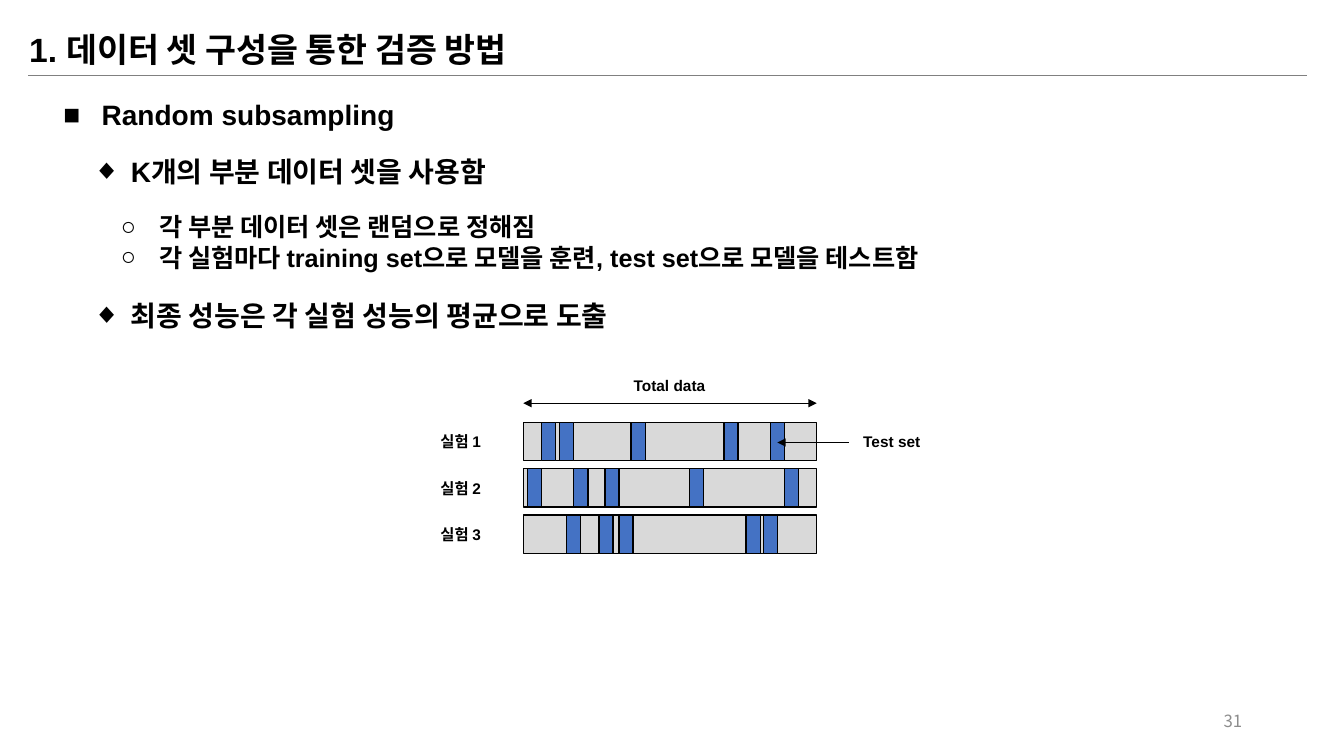
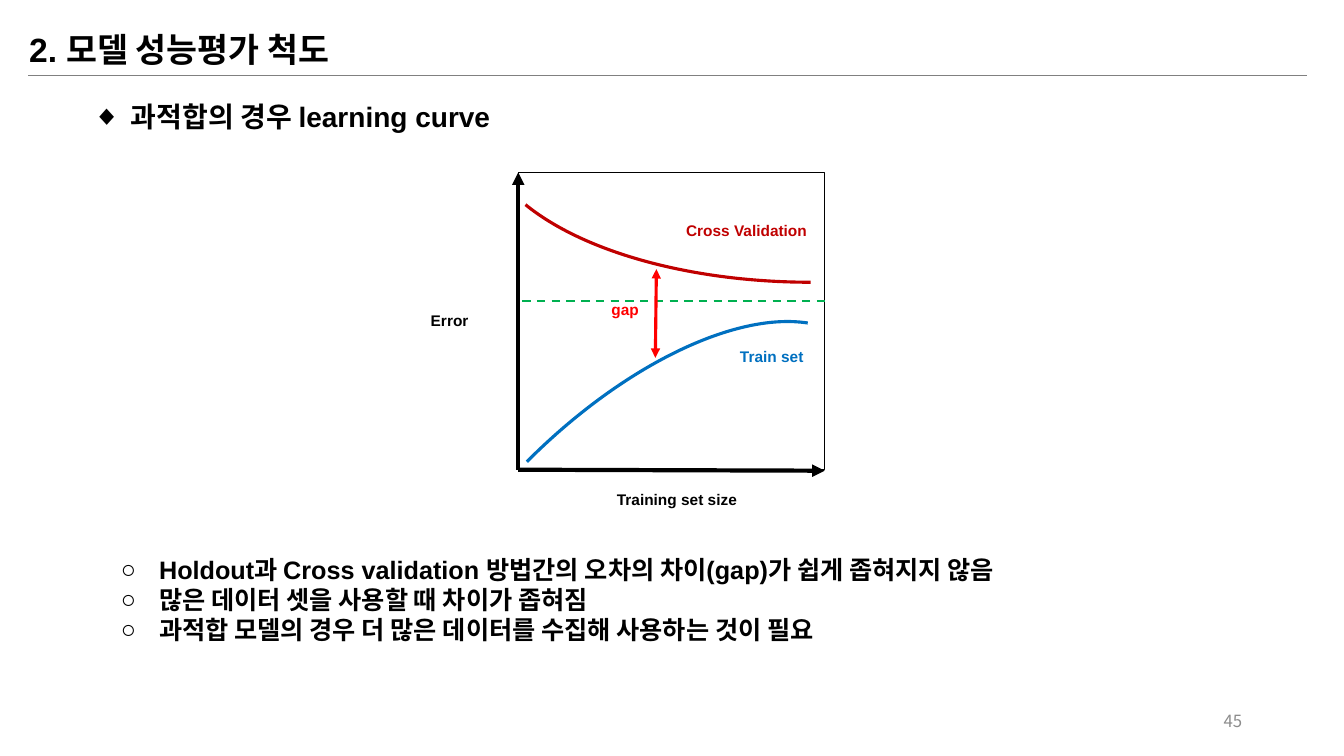
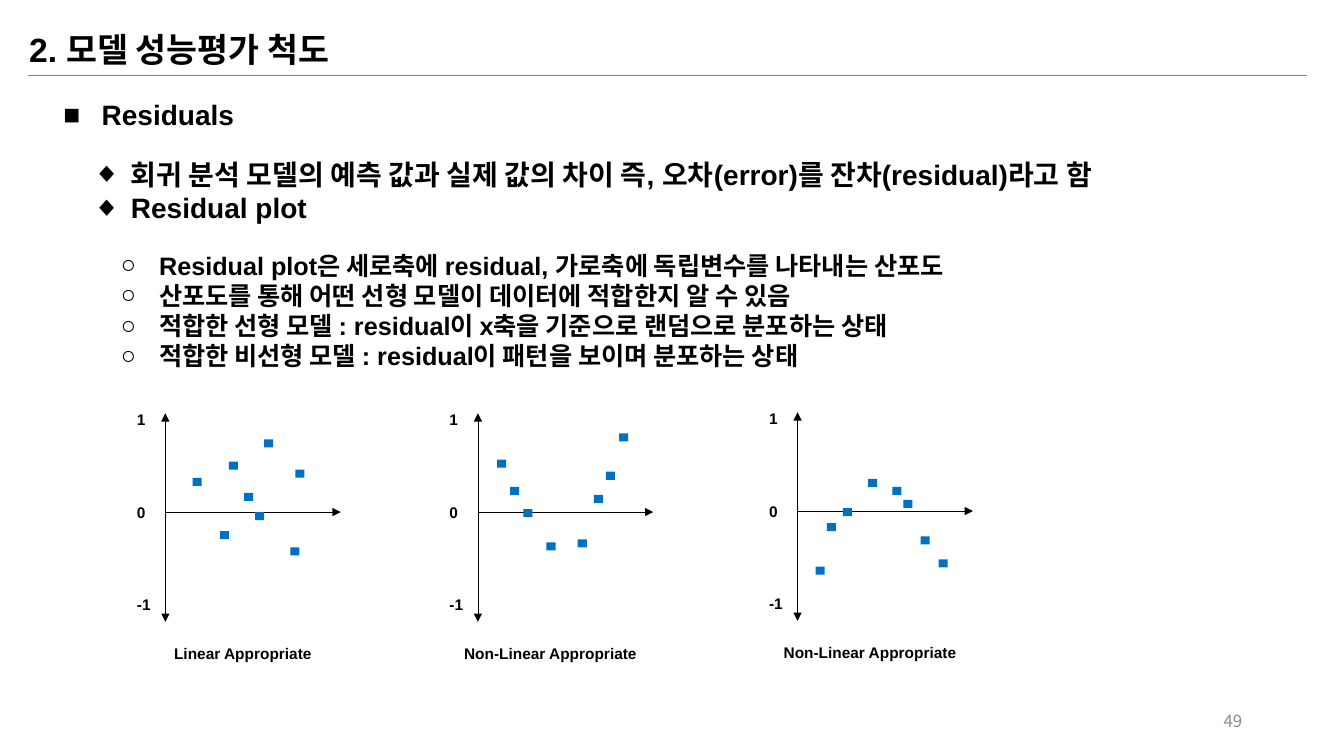
"""Build three lecture slides on model validation and performance measures."""
from lxml.etree import SubElement
from pptx import Presentation
from pptx.dml.color import RGBColor
from pptx.enum.dml import MSO_LINE
from pptx.enum.shapes import MSO_CONNECTOR, MSO_SHAPE
from pptx.enum.text import MSO_ANCHOR, MSO_AUTO_SIZE, PP_ALIGN
from pptx.oxml.ns import qn
from pptx.util import Inches, Pt

LATIN, KOREAN = "Arial", "Noto Sans CJK KR"
BLACK, GRAY, RULE = "000000", "8C8C8C", "808080"
BAR, TEST, BLUE = "D9D9D9", "4472C4", "0070C0"
DARK_RED, RED, GREEN = "C00000", "FF0000", "00B050"

TITLE_FORMAT = {"size": Pt(24), "bold": True, "name": LATIN}
LABEL_FORMAT = {"size": Pt(11), "bold": True, "name": LATIN}
PAGE_FORMAT = {"size": Pt(12), "bold": False, "name": KOREAN}
LEVELS = {
    "■": {"left": 0.53, "width": 9.15, "size": 20},
    "◆": {"left": 0.82, "width": 11.92, "size": 20},
    "○": {"left": 1.1, "width": 11.65, "size": 18},
}
INDENT = 0.38
LABEL_HEIGHT = 0.38

SAMPLING = {
    "title": "1. 데이터 셋 구성을 통한 검증 방법",
    "page": "31",
    "bullets": [
        ("■", 0.92, ["Random subsampling"]),
        ("◆", 1.48, ["K개의 부분 데이터 셋을 사용함"]),
        ("○", 2.05, ["각 부분 데이터 셋은 랜덤으로 정해짐",
                     "각 실험마다 training set으로 모델을 훈련, test set으로 모델을 테스트함"]),
        ("◆", 2.91, ["최종 성능은 각 실험 성능의 평균으로 도출"]),
    ],
}
TEST_OFFSETS = [
    (0.18, 0.36, 1.07, 1.99, 2.45),
    (0.04, 0.5, 0.81, 1.65, 2.59),
    (0.43, 0.75, 0.95, 2.21, 2.38),
]

LEARNING = {
    "title": "2. 모델 성능평가 척도",
    "page": "45",
    "bullets": [
        ("◆", 0.94, ["과적합의 경우 learning curve"]),
        ("○", 5.45, ["Holdout과 Cross validation 방법간의 오차의 차이(gap)가 쉽게 좁혀지지 않음",
                     "많은 데이터 셋을 사용할 때 차이가 좁혀짐",
                     "과적합 모델의 경우 더 많은 데이터를 수집해 사용하는 것이 필요"]),
    ],
}
CURVES = [
    ((3.17, 4.14, 6.23, 2.99), 314.9, 210.29, BLUE),
    ((4.77, -0.29, 6.54, 3.09), 180, 206.8, DARK_RED),
]
CURVE_LABELS = [
    ("Training set size", 5.95, 4.76, 1.53, BLACK),
    ("Error", 3.96, 2.99, 1.0, BLACK),
    ("Cross Validation", 6.62, 2.1, 1.57, DARK_RED),
    ("Train set", 6.87, 3.34, 1.57, BLUE),
    ("gap", 5.69, 2.88, 1.02, RED),
]

RESIDUALS = {
    "title": "2. 모델 성능평가 척도",
    "page": "49",
    "bullets": [
        ("■", 0.92, ["Residuals"]),
        ("◆", 1.51, ["회귀 분석 모델의 예측 값과 실제 값의 차이 즉, 오차(error)를 잔차(residual)라고 함",
                     "Residual plot"]),
        ("○", 2.43, ["Residual plot은 세로축에 residual, 가로축에 독립변수를 나타내는 산포도",
                     "산포도를 통해 어떤 선형 모델이 데이터에 적합한지 알 수 있음",
                     "적합한 선형 모델 : residual이 x축을 기준으로 랜덤으로 분포하는 상태",
                     "적합한 비선형 모델 : residual이 패턴을 보이며 분포하는 상태"]),
    ],
}
PLOTS = [
    ("Linear Appropriate", 1.64, 5.08, 0.77,
     [(0.98, -0.72), (0.27, -0.34), (0.63, -0.5), (0.78, -0.19),
      (0.89, 0), (0.54, 0.19), (1.24, 0.35), (1.29, -0.42)]),
    ("Non-Linear Appropriate", 4.74, 5.08, 0.72,
     [(1.4, -0.78), (0.19, -0.52), (0.32, -0.25), (0.68, 0.3),
      (1.15, -0.17), (0.45, -0.03), (0.99, 0.27), (1.27, -0.4)]),
    ("Non-Linear Appropriate", 7.91, 5.07, 0.72,
     [(1.4, 0.48), (0.18, 0.55), (0.29, 0.12), (0.7, -0.32),
      (1.05, -0.11), (0.45, -0.03), (0.94, -0.24), (1.22, 0.25)]),
]


def color(value):
    return RGBColor.from_string(value)


def inches(*values):
    return [Inches(value) for value in values]


def write(paragraph, text, font_format, text_color=BLACK, align=PP_ALIGN.LEFT):
    run = paragraph.add_run()
    run.text = text
    for name, value in font_format.items():
        setattr(run.font, name, value)
    run.font.color.rgb = color(text_color)
    SubElement(run.font._element, qn("a:ea"), typeface=KOREAN)
    paragraph.alignment = align


def add_text(slide, *place):
    frame = slide.shapes.add_textbox(*inches(*place)).text_frame
    frame.word_wrap = True
    return frame


def add_bullets(slide, mark, top, lines):
    level = LEVELS[mark]
    height = 0.1 + len(lines) * level["size"] * 0.017
    frame = add_text(slide, level["left"], top, level["width"], height)
    frame.auto_size = MSO_AUTO_SIZE.SHAPE_TO_FIT_TEXT
    font_format = {**TITLE_FORMAT, "size": Pt(level["size"])}
    for index, line in enumerate(lines):
        paragraph = frame.add_paragraph() if index else frame.paragraphs[0]
        write(paragraph, line, font_format)
        properties = paragraph._p.get_or_add_pPr()
        properties.set("marL", str(Inches(INDENT)))
        properties.set("indent", str(-Inches(INDENT)))
        SubElement(properties, qn("a:buFont"), typeface=LATIN)
        SubElement(properties, qn("a:buChar"), char=mark)


def add_box(slide, place, fill=None, line=None, width=1, kind=MSO_SHAPE.FLOWCHART_PROCESS):
    shape = slide.shapes.add_shape(kind, *inches(*place))
    shape.shadow.inherit = False
    if fill:
        shape.fill.solid()
        shape.fill.fore_color.rgb = color(fill)
    else:
        shape.fill.background()
    if line:
        shape.line.color.rgb = color(line)
        shape.line.width = Pt(width)
    else:
        shape.line.fill.background()
    return shape


def add_label(slide, text, left, top, width, text_color=BLACK, align=PP_ALIGN.CENTER):
    frame = add_box(slide, (left, top, width, LABEL_HEIGHT)).text_frame
    frame.word_wrap = True
    frame.vertical_anchor = MSO_ANCHOR.MIDDLE
    write(frame.paragraphs[0], text, LABEL_FORMAT, text_color, align)


def add_line(slide, start, end, line_color=BLACK, width=1.0, arrows=(), dash=None):
    line = slide.shapes.add_connector(MSO_CONNECTOR.STRAIGHT, *inches(*start, *end))
    line.line.color.rgb = color(line_color)
    line.line.width = Pt(width)
    if dash:
        line.line.dash_style = dash
    for arrow in arrows:
        SubElement(line.line._get_or_add_ln(), qn(f"a:{arrow}End"), type="triangle")
    SubElement(line._element.spPr, qn("a:effectLst"))


def add_page(presentation, content):
    slide = presentation.slides.add_slide(presentation.slide_layouts[6])
    add_line(slide, (0.28, 0.75), (12.96, 0.75), RULE, 0.5)
    title = add_text(slide, 0.19, 0.24, 9.15, 0.5)
    write(title.paragraphs[0], content["title"], TITLE_FORMAT)
    number = add_text(slide, 9.42, 6.95, 3, 0.4)
    number.vertical_anchor = MSO_ANCHOR.MIDDLE
    write(number.paragraphs[0], content["page"], PAGE_FORMAT, GRAY, PP_ALIGN.RIGHT)
    for mark, top, lines in content["bullets"]:
        add_bullets(slide, mark, top, lines)
    return slide


def draw_sampling(slide):
    left, top, width, height, step = 5.19, 4.19, 2.91, 0.38, 0.46
    for row, offsets in enumerate(TEST_OFFSETS):
        row_top = top + row * step
        add_label(slide, f"실험 {row + 1}", 4.06, row_top, 1.02)
        add_box(slide, (left, row_top, width, height), BAR, BLACK)
        for offset in offsets:
            add_box(slide, (left + offset, row_top, 0.14, height), TEST, BLACK)
    add_line(slide, (8.42, 4.39), (7.71, 4.39), arrows=["tail"])
    add_label(slide, "Test set", 8.42, top, 0.85)
    add_line(slide, (left, 4), (left + width, 4), arrows=["head", "tail"])
    add_label(slide, "Total data", 6.13, 3.63, 1.02)


def draw_learning(slide):
    left, top, right, bottom = 5.14, 1.71, 8.18, 4.66
    add_box(slide, (left, top, right - left, bottom - top), None, BLACK, kind=MSO_SHAPE.RECTANGLE)
    add_line(slide, (left, bottom), (left, top), BLACK, 3, ["tail"])
    add_line(slide, (left, bottom), (right, bottom + 0.01), BLACK, 3, ["tail"])
    for place, rotation, end, line_color in CURVES:
        arc = add_box(slide, place, None, line_color, 2.25, MSO_SHAPE.ARC)
        arc.rotation = rotation
        arc.adjustments[0] = 162
        arc.adjustments[1] = end
    add_line(slide, (5.18, 2.99), (right, 2.99), GREEN, 1.5, dash=MSO_LINE.DASH)
    add_line(slide, (6.51, 2.67), (6.5, 3.55), RED, 2.25, ["head", "tail"])
    for label in CURVE_LABELS:
        add_label(slide, *label)


def draw_residuals(slide):
    for caption, x, y, center, points in PLOTS:
        add_line(slide, (x, y), (x + 1.74, y), BLACK, 0.5, ["tail"])
        add_line(slide, (x, y - 0.98), (x, y + 1.09), BLACK, 0.5, ["head", "tail"])
        for value in (1, 0, -1):
            label_top = y - value * 0.92 - LABEL_HEIGHT / 2
            add_label(slide, str(value), x - 0.38, label_top, 0.37, align=PP_ALIGN.LEFT)
        for across, down in points:
            add_box(slide, (x + across, y + down, 0.09, 0.08), BLUE, kind=MSO_SHAPE.RECTANGLE)
        add_label(slide, caption, x + center - 1.02, y + 1.21, 2.04)


presentation = Presentation()
presentation.slide_width, presentation.slide_height = inches(13.33, 7.5)
for content, draw in [(SAMPLING, draw_sampling), (LEARNING, draw_learning),
                      (RESIDUALS, draw_residuals)]:
    draw(add_page(presentation, content))
presentation.save("out.pptx")
